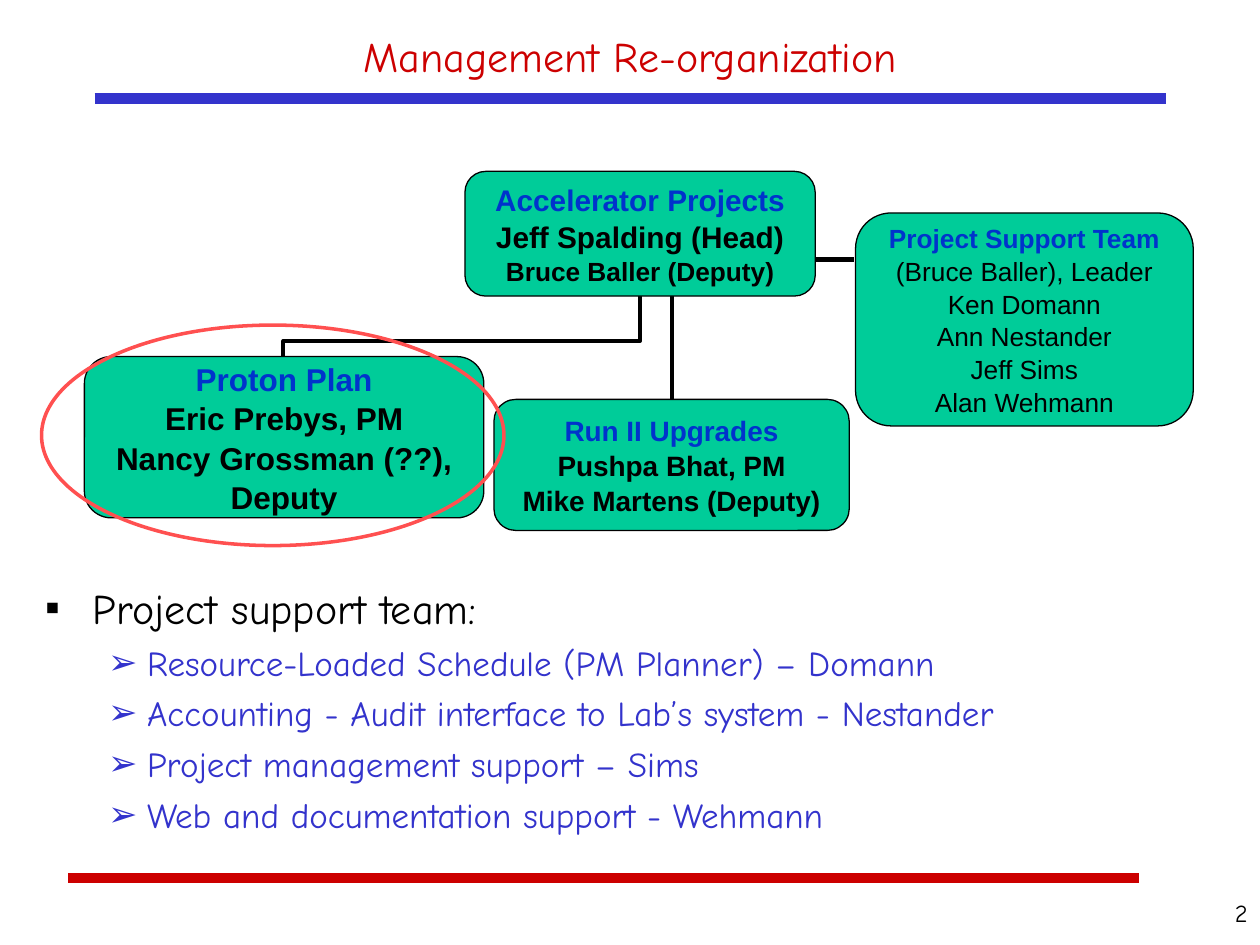
import pptx
import pptx.util
import pptx.dml.color
import pptx.enum.shapes
import pptx.enum.text
import pptx.oxml.ns
from lxml import etree

Inches = pptx.util.Inches
Pt = pptx.util.Pt
Kind = pptx.enum.shapes.MSO_SHAPE
Link = pptx.enum.shapes.MSO_CONNECTOR
Align = pptx.enum.text.PP_ALIGN
Anchor = pptx.enum.text.MSO_ANCHOR
qn = pptx.oxml.ns.qn

SCRIPT = "Comic Neue"
BLACK, BLUE, RED = "000000", "3333CC", "CC0000"
GREEN, HEAD, CORAL = "00CC99", "0033CC", "FF5050"


def color(code):
    return pptx.dml.color.RGBColor.from_string(code)


def style(item, **values):
    for name, value in values.items():
        setattr(item, name, value)


def ink(para, size, code, face=SCRIPT, bold=False):
    style(para.font, size=Pt(size), name=face, bold=bold)
    para.font.color.rgb = color(code)


def sub(parent, tag, **values):
    return etree.SubElement(parent, qn(tag), values)


def wire(slide, start, end, width, code=BLACK, kind=Link.STRAIGHT):
    line = slide.shapes.add_connector(kind, *map(Inches, start + end))
    line.line.width = Pt(width)
    line.line.color.rgb = color(code)
    sub(line._element.spPr, "a:effectLst")
    return line


def label(slide, box, text, size, code, align, anchor=Anchor.TOP):
    frame = slide.shapes.add_textbox(*map(Inches, box)).text_frame
    style(frame, word_wrap=True, vertical_anchor=anchor)
    para = frame.paragraphs[0]
    style(para, text=text, alignment=align)
    ink(para, size, code)


def outline(slide, kind, box, width, code):
    shape = slide.shapes.add_shape(kind, *map(Inches, box))
    shape.shadow.inherit = False
    shape.line.width = Pt(width)
    shape.line.color.rgb = color(code)
    return shape


def card(slide, box, lines):
    """Rounded box; each line is text, size, bold, and the first is the heading."""
    shape = outline(slide, Kind.ROUNDED_RECTANGLE, box, 0.75, BLACK)
    shape.fill.solid()
    shape.fill.fore_color.rgb = color(GREEN)
    frame = shape.text_frame
    style(frame, word_wrap=False, vertical_anchor=Anchor.MIDDLE,
          margin_left=Inches(0.08), margin_right=Inches(0.08),
          margin_top=Inches(0.04), margin_bottom=Inches(0.04))
    for i, (text, size, bold) in enumerate(lines):
        para = frame.add_paragraph() if i else frame.paragraphs[0]
        style(para, text=text, alignment=Align.CENTER, line_spacing=1.04)
        ink(para, size, BLACK if i else HEAD, "Arial", bold)
    return shape


def chart(slide, box):
    """Organization chart, placed from the top left corner of its box."""
    x, y = box[:2]

    # Links from the projects box down to the two plans and across to the team
    drop = wire(slide, (x + 4.66, y + 1.81), (x + 4.66, y + 0.97), 2.25)
    # This elbow is turned a quarter so that it leaves and arrives upright
    wide, high = 2.83, 0.48
    mid, level = x + 1.58 + wide / 2, y + 1.47 - high / 2
    bend = wire(slide, (mid + high / 2, level + wide / 2),
                (mid - high / 2, level - wide / 2), 2.25, kind=Link.ELBOW)
    bend._element.spPr.find(qn("a:xfrm")).set("rot", "5400000")
    geom = bend._element.spPr.find(qn("a:prstGeom"))
    list_ = geom.find(qn("a:avLst"))
    if list_ is None:
        list_ = sub(geom, "a:avLst")
    sub(list_, "a:gd", name="adj1", fmla="val 25700")
    wire(slide, (x + 5.81, y + 0.7), (x + 6.11, y + 0.7), 3)

    # Boxes
    card(slide, (x + 3.02, y, 2.78, 0.99), [
        ("Accelerator Projects", 17, True),
        ("Jeff Spalding (Head)", 17, True),
        ("Bruce Baller (Deputy)", 15, True)])
    card(slide, (x, y + 1.47, 3.17, 1.28), [
        (text, 18, True) for text in (
            "Proton Plan", "Eric Prebys, PM", "Nancy Grossman (??),", "Deputy")])
    run = card(slide, (x + 3.25, y + 1.81, 2.82, 1.04), [
        (text, 16, True) for text in (
            "Run II Upgrades", "Pushpa Bhat, PM", "Mike Martens (Deputy)")])
    drop.begin_connect(run, 0)
    team = ("Project Support Team", "(Bruce Baller), Leader", "Ken Domann",
            "Ann Nestander", "Jeff Sims", "Alan Wehmann")
    card(slide, (x + 6.12, y + 0.33, 2.68, 1.69),
         [(text, 15, i == 0) for i, text in enumerate(team)])


def bullet(para, sign, code, left, hang):
    props = para._p.get_or_add_pPr()
    props.set("marL", str(Inches(left)))
    props.set("indent", str(-Inches(hang)))
    sub(sub(props, "a:buClr"), "a:srgbClr", val=code)
    sub(props, "a:buFont", typeface="Arial")
    sub(props, "a:buChar", char=sign)


def duties(slide, box, title, items):
    frame = slide.shapes.add_textbox(*map(Inches, box)).text_frame
    frame.word_wrap = True
    para = frame.paragraphs[0]
    para.text = title
    bullet(para, "▪", BLACK, 0.38, 0.38)
    ink(para, 24, BLACK)
    for text in items:
        para = frame.add_paragraph()
        style(para, text=text, level=1, space_before=Pt(5))
        bullet(para, "➢", BLUE, 0.81, 0.31)
        ink(para, 20, BLUE)


def main():
    deck = pptx.Presentation()
    style(deck, slide_width=Inches(10), slide_height=Inches(7.5))
    slide = deck.slides.add_slide(deck.slide_layouts[6])

    # Rules and title
    wire(slide, (0.54, 6.97), (9.04, 6.97), 6, RED)
    wire(slide, (0.75, 0.78), (9.25, 0.78), 6, BLUE)
    label(slide, (0.75, 0.15, 8.5, 0.58), "Management Re-organization",
          24, RED, Align.CENTER, Anchor.MIDDLE)

    # Body
    chart(slide, (0.67, 1.36, 8.8, 2.85))
    duties(slide, (0.26, 4.57, 9.96, 2.19), "Project support team:", [
        "Resource-Loaded Schedule (PM Planner) – Domann",
        "Accounting - Audit interface to Lab’s system - Nestander",
        "Project management support – Sims",
        "Web and documentation support - Wehmann"])

    # Ring around the proton plan, and page number
    ring = outline(slide, Kind.OVAL, (0.33, 2.58, 3.67, 1.75), 2, CORAL)
    ring.fill.background()
    label(slide, (9.08, 7.08, 0.92, 0.42), "2", 14, BLACK, Align.RIGHT)

    deck.save("out.pptx")


if __name__ == "__main__":
    main()
